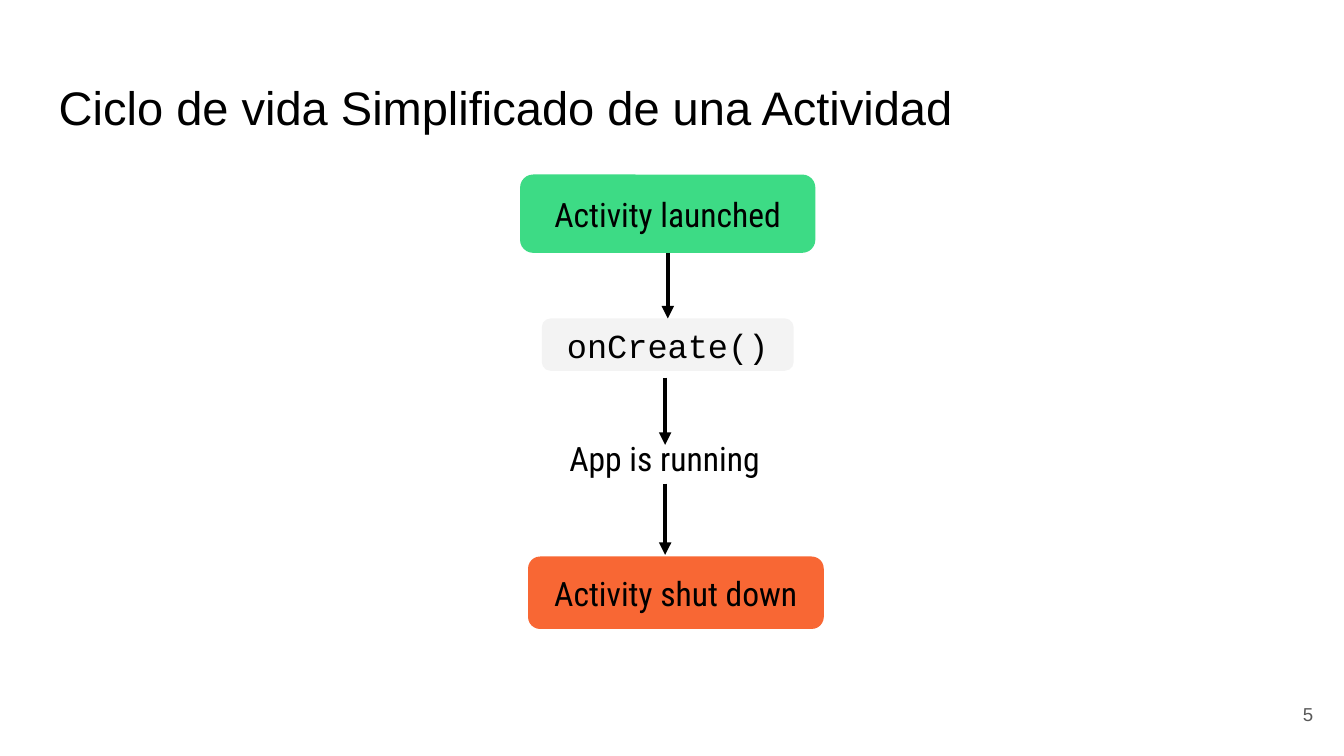
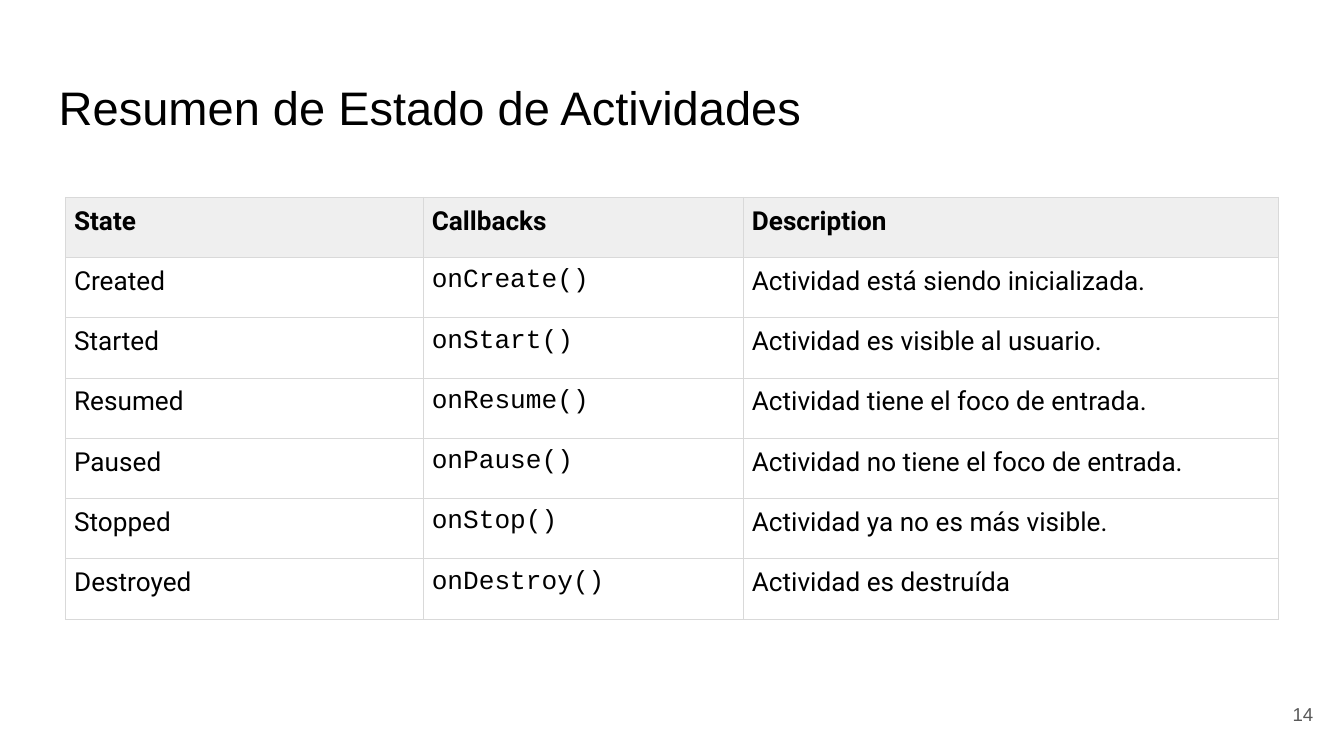
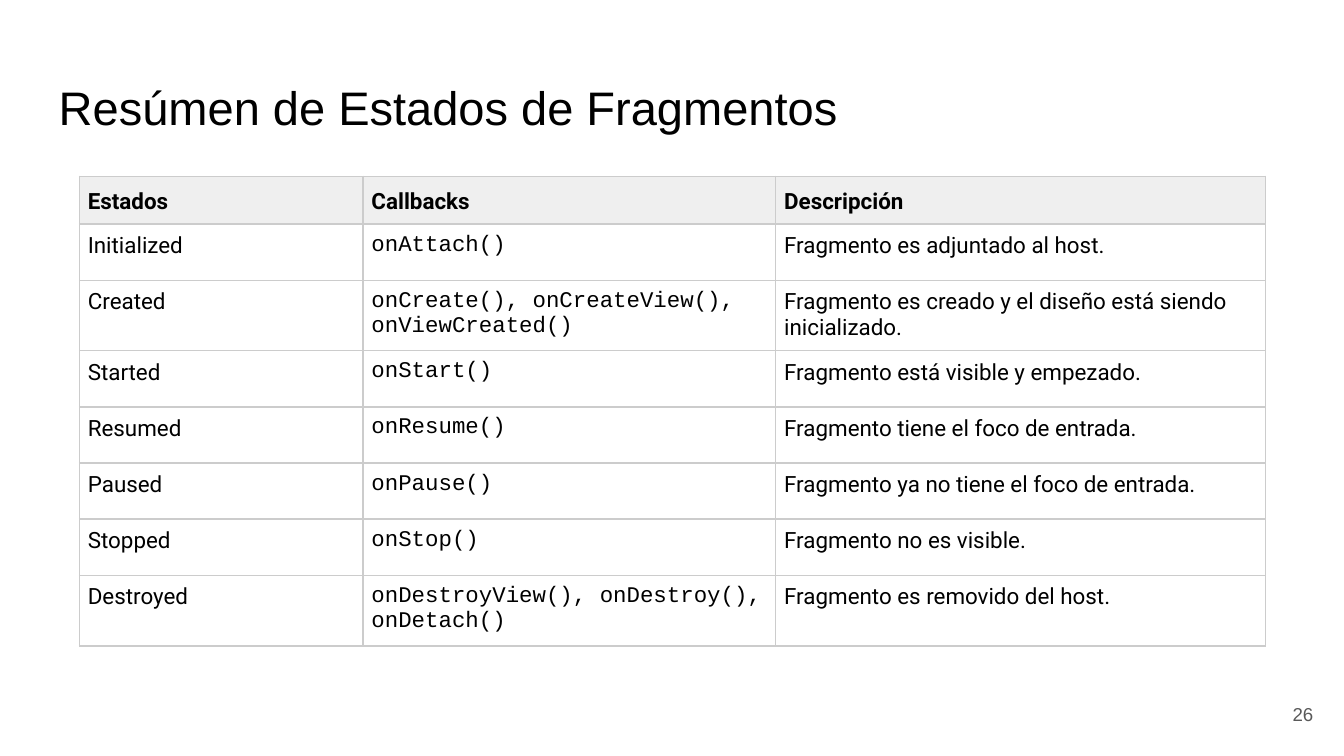
from dataclasses import dataclass

from lxml.etree import SubElement
from pptx import Presentation
from pptx.dml.color import RGBColor
from pptx.enum.shapes import MSO_CONNECTOR, MSO_SHAPE
from pptx.enum.text import MSO_ANCHOR, MSO_AUTO_SIZE, PP_ALIGN
from pptx.oxml import parse_xml
from pptx.oxml.ns import nsdecls, qn
from pptx.util import Cm, Pt


@dataclass(frozen=True)
class Theme:
    """Colours, fonts and type sizes of the deck."""

    ink: str = "000000"
    muted: str = "595959"
    green: str = "3DDB85"
    orange: str = "F86734"
    pale: str = "F3F3F3"
    header: str = "EFEFEF"
    sans: str = "Arial"
    body: str = "Roboto"
    narrow: str = "Roboto Condensed"
    code: str = "Courier New"
    title: float = 25.2
    label: float = 18
    small: float = 10


LOOK = Theme()
MID = 12.57

STATES = [
    ("State", "Callbacks", "Description"),
    ("Created", "onCreate()", "Actividad está siendo inicializada."),
    ("Started", "onStart()", "Actividad es visible al usuario."),
    ("Resumed", "onResume()", "Actividad tiene el foco de entrada."),
    ("Paused", "onPause()", "Actividad no tiene el foco de entrada."),
    ("Stopped", "onStop()", "Actividad ya no es más visible."),
    ("Destroyed", "onDestroy()", "Actividad es destruída"),
]

FRAGMENTS = [
    ("Estados", "Callbacks", "Descripción"),
    ("Initialized", "onAttach()", "Fragmento es adjuntado al host."),
    ("Created", "onCreate(), onCreateView(), onViewCreated()",
     "Fragmento es creado y el diseño está siendo inicializado."),
    ("Started", "onStart()", "Fragmento está visible y empezado."),
    ("Resumed", "onResume()", "Fragmento tiene el foco de entrada."),
    ("Paused", "onPause()", "Fragmento ya no tiene el foco de entrada."),
    ("Stopped", "onStop()", "Fragmento no es visible."),
    ("Destroyed", "onDestroyView(), onDestroy(), onDetach()",
     "Fragmento es removido del host."),
]


def write(frame, words, font=LOOK.sans, size=LOOK.label, color=LOOK.ink, bold=False,
          align=PP_ALIGN.LEFT, anchor=MSO_ANCHOR.TOP, pad=0.25, after=0, line=None):
    """Fill a text frame with one formatted paragraph."""
    frame.word_wrap = True
    frame.vertical_anchor = anchor
    frame.margin_left = frame.margin_right = Cm(pad)
    frame.margin_top = frame.margin_bottom = Cm(pad)
    para = frame.paragraphs[0]
    para.alignment = align
    para.space_after = Pt(after)
    para.line_spacing = line
    run = para.add_run()
    run.text = words
    run.font.name = font
    run.font.size = Pt(size)
    run.font.bold = bold
    run.font.color.rgb = RGBColor.from_string(color)


def add_page(deck, title, number):
    """Add a slide with its title and page number."""
    slide = deck.slides.add_slide(deck.slide_layouts[5])
    head = slide.shapes.title
    head.left, head.top, head.width, head.height = Cm(0.86), Cm(1.24), Cm(23.67), Cm(1.6)
    head.text_frame.auto_size = MSO_AUTO_SIZE.NONE
    write(head.text_frame, title, size=LOOK.title)
    add_label(slide, str(number), 23.55, 12.95, 1.52, 1.09, size=LOOK.small,
              color=LOOK.muted, align=PP_ALIGN.RIGHT, anchor=MSO_ANCHOR.MIDDLE)
    return slide


def add_label(slide, words, left, top, width, height, **style):
    """Add a plain text box."""
    box = slide.shapes.add_textbox(Cm(left), Cm(top), Cm(width), Cm(height))
    write(box.text_frame, words, **style)


def add_node(slide, words, left, top, width, height, fill, font=LOOK.narrow):
    """Add a rounded box with centred text."""
    node = slide.shapes.add_shape(MSO_SHAPE.ROUNDED_RECTANGLE,
                                  Cm(left), Cm(top), Cm(width), Cm(height))
    node.shadow.inherit = False
    node.fill.solid()
    node.fill.fore_color.rgb = RGBColor.from_string(fill)
    node.line.fill.background()
    write(node.text_frame, words, font=font, align=PP_ALIGN.CENTER,
          anchor=MSO_ANCHOR.MIDDLE)
    return node


def add_arrow(slide, start, end):
    """Add a downward arrow on the middle axis."""
    arrow = slide.shapes.add_connector(MSO_CONNECTOR.STRAIGHT,
                                       Cm(MID), Cm(start), Cm(MID), Cm(end))
    arrow.line.color.rgb = RGBColor.from_string(LOOK.ink)
    arrow.line.width = Pt(2.25)
    props = arrow.element.spPr
    SubElement(props.find(qn("a:ln")), qn("a:tailEnd"), type="triangle")
    SubElement(props, qn("a:effectLst"))
    return arrow


def add_edges(cell, color):
    """Draw a thin border on each side of a cell."""
    props = cell._tc.get_or_add_tcPr()
    for side in ("lnL", "lnR", "lnT", "lnB"):
        props.append(parse_xml(
            f'<a:{side} {nsdecls("a")} w="{Pt(0.75)}"><a:solidFill>'
            f'<a:srgbClr val="{color}"/></a:solidFill></a:{side}>'))


def add_grid(slide, rows, left, top, widths, heights, edge, size, after=0, lead=None):
    """Add a table with a shaded header and code in its second column."""
    frame = slide.shapes.add_table(len(rows), len(widths), Cm(left), Cm(top),
                                   Cm(sum(widths)), Cm(sum(heights)))
    table = frame.table
    table.first_row = table.horz_banding = False
    for column, width in zip(table.columns, widths):
        column.width = Cm(width)
    for y, (row, height) in enumerate(zip(rows, heights)):
        table.rows[y].height = Cm(height)
        for x, words in enumerate(row):
            cell = table.cell(y, x)
            first = y == 0
            add_edges(cell, edge)
            if first:
                cell.fill.solid()
                cell.fill.fore_color.rgb = RGBColor.from_string(LOOK.header)
            else:
                cell.fill.background()
            cell.margin_left = cell.margin_right = Cm(0.16)
            cell.margin_top = cell.margin_bottom = Cm(0.16)
            write(cell.text_frame, words, size=size, bold=first, pad=0.16, after=after,
                  font=LOOK.code if x == 1 and not first else LOOK.body,
                  line=lead if first else None)


def add_flow(slide):
    """Draw the simple life cycle from launch to shut down."""
    launch = add_node(slide, "Activity launched", 9.83, 3.3, 5.58, 1.48, LOOK.green)
    create = add_node(slide, "onCreate()", 10.24, 6.02, 4.76, 0.99, LOOK.pale, LOOK.code)
    add_label(slide, "App is running", 9.98, 8.03, 5.16, 1.09,
              font=LOOK.narrow, align=PP_ALIGN.CENTER)
    add_node(slide, "Activity shut down", 9.98, 10.52, 5.59, 1.37, LOOK.orange)
    link = add_arrow(slide, 4.78, 6.02)
    link.begin_connect(launch, 2)
    link.end_connect(create, 0)
    add_arrow(slide, 7.14, 8.41)
    add_arrow(slide, 9.14, 10.49)


def main():
    """Build and save the deck."""
    deck = Presentation()
    deck.slide_width, deck.slide_height = Cm(25.4), Cm(14.29)
    add_flow(add_page(deck, "Ciclo de vida Simplificado de una Actividad", 5))
    add_grid(add_page(deck, "Resumen de Estado de Actividades", 14), STATES,
             1.24, 3.73, (6.76, 6.05, 10.11), [1.14] * len(STATES),
             "D9D9D9", 14, after=6)
    add_grid(add_page(deck, "Resúmen de Estados de Fragmentos", 26), FRAGMENTS,
             1.5, 3.33, (5.36, 7.8, 9.25), [0.86] + [1.06] * (len(FRAGMENTS) - 1),
             "CCCCCC", 12, lead=1.15)
    deck.save("out.pptx")


if __name__ == "__main__":
    main()
